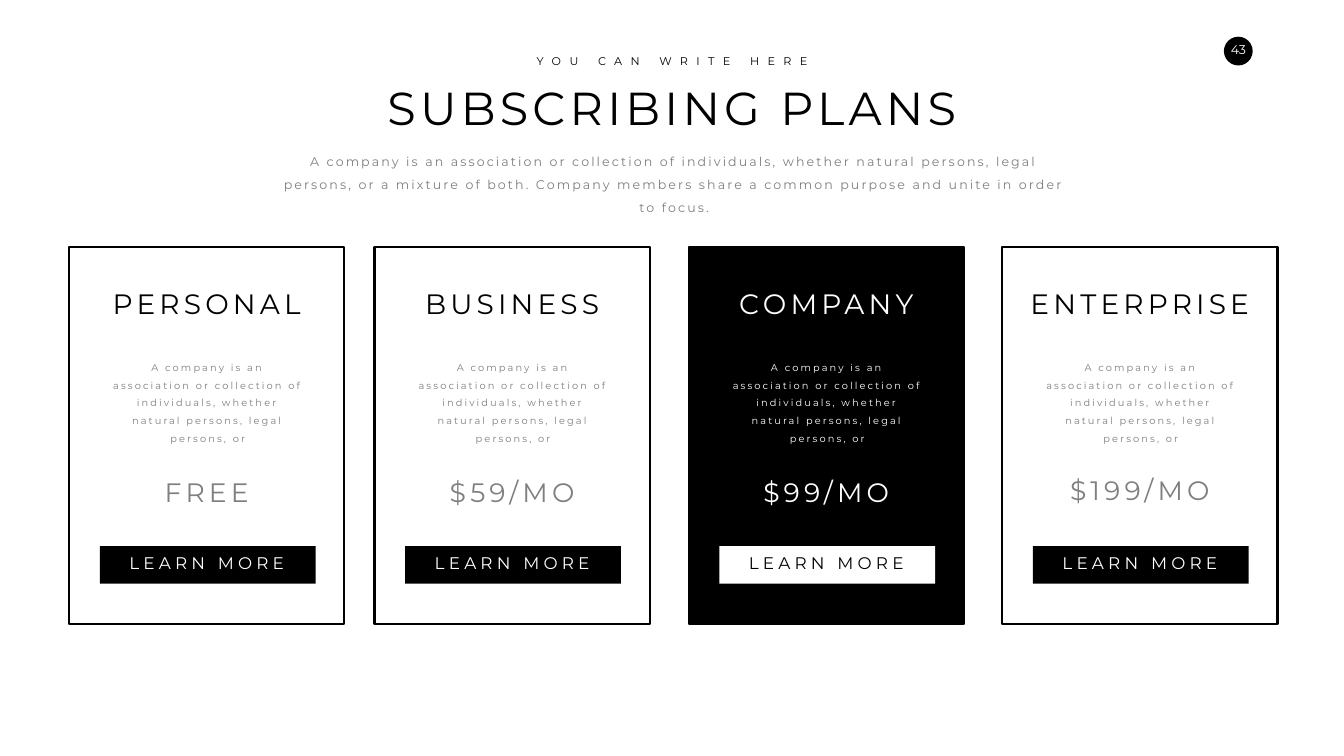
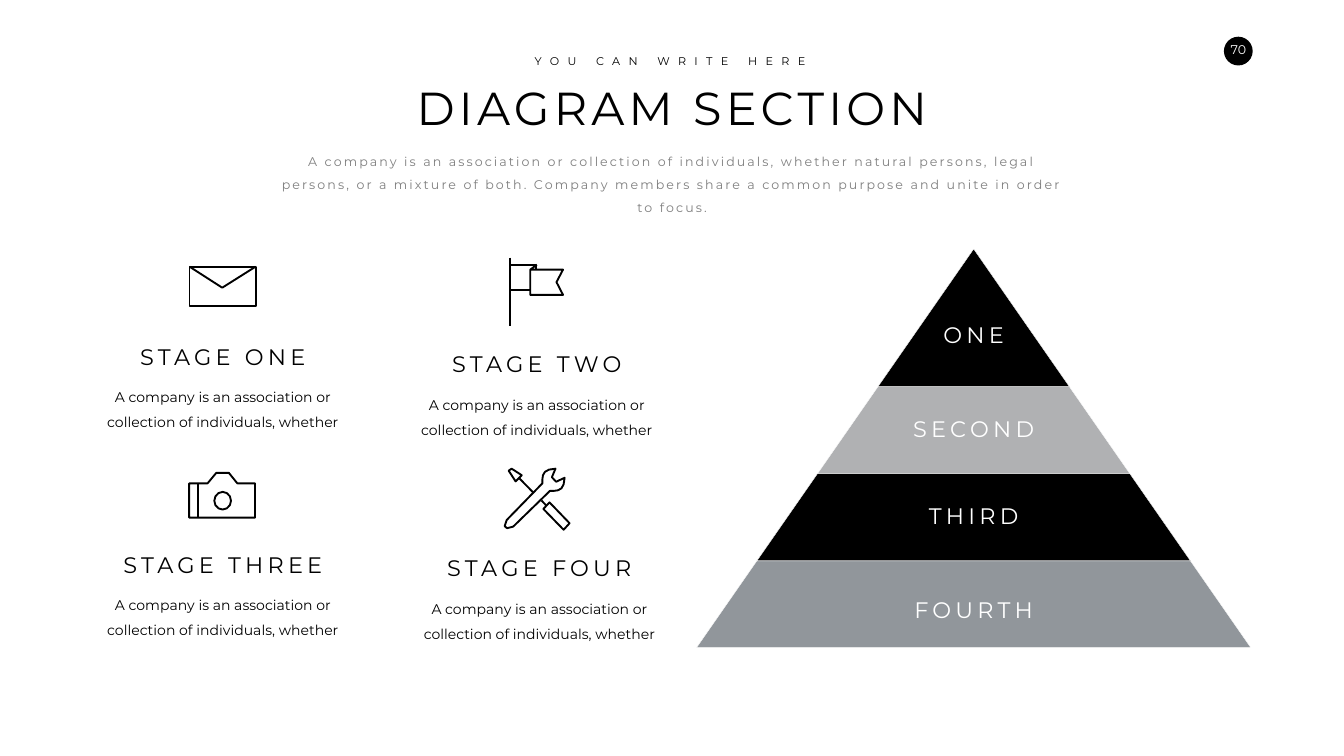
"""Build a subscription plans slide and a pyramid diagram slide."""
from lxml import etree
from pptx import Presentation
from pptx.dml.color import RGBColor
from pptx.enum.shapes import MSO_CONNECTOR, MSO_SHAPE
from pptx.enum.text import MSO_AUTO_SIZE, PP_ALIGN
from pptx.oxml.ns import qn
from pptx.util import Cm, Pt

RECTANGLE = MSO_SHAPE.RECTANGLE
OVAL = MSO_SHAPE.OVAL
STRAIGHT = MSO_CONNECTOR.STRAIGHT
CENTER = PP_ALIGN.CENTER
GROW = MSO_AUTO_SIZE.SHAPE_TO_FIT_TEXT

COLORS = {
    "black": "000000",
    "white": "FFFFFF",
    "text_gray": "7F7F7F",
    "light_gray": "B0B1B3",
    "slate": "91969B",
}
FONT = "Montserrat"
MIDDLE = 33.87
ICON_LINE = 2.7


def add_text(slide, text, center, top, width, height, size, color="black",
             tracking=0, line_spacing=None, wrap=False, insets=(0.25, 0.13)):
    """Add a text box centred on a given x position."""
    box = slide.shapes.add_textbox(Cm(center - width / 2), Cm(top), Cm(width), Cm(height))
    frame = box.text_frame
    frame.word_wrap = wrap
    frame.auto_size = GROW
    frame.margin_left = frame.margin_right = Cm(insets[0])
    frame.margin_top = frame.margin_bottom = Cm(insets[1])
    paragraph = frame.paragraphs[0]
    paragraph.alignment = CENTER
    if line_spacing:
        paragraph.line_spacing = line_spacing
    run = paragraph.add_run()
    run.text = text
    run.font.name = FONT
    run.font.size = Pt(size)
    run.font.color.rgb = RGBColor.from_string(COLORS[color])
    if tracking:
        run.font._element.set("spc", str(tracking * 100))


def style_shape(shape, fill=None, line=None, line_width=1):
    """Set the fill and outline of a shape, leaving either out when not given."""
    shape.shadow.inherit = False
    if fill:
        shape.fill.solid()
        shape.fill.fore_color.rgb = RGBColor.from_string(COLORS[fill])
    else:
        shape.fill.background()
    if line:
        shape.line.color.rgb = RGBColor.from_string(COLORS[line])
        shape.line.width = Pt(line_width)
    else:
        shape.line.fill.background()


presentation = Presentation()
presentation.slide_width = Cm(67.72)
presentation.slide_height = Cm(38.1)
blank_layout = presentation.slide_layouts[6]

INTRO = ("A company is an association or collection of individuals, whether natural "
         "persons, legal persons, or a mixture of both. Company members share a common "
         "purpose and unite in order to focus.")
headers = [
    ("43", "SUBSCRIBING PLANS", 29.8, 0),
    ("70", "DIAGRAM SECTION", 26.44, -0.1),
]
for number, title, title_width, shift in headers:
    slide = presentation.slides.add_slide(blank_layout)
    badge = slide.shapes.add_shape(OVAL, Cm(61.67), Cm(1.85), Cm(1.45), Cm(1.45))
    style_shape(badge, fill="black")
    add_text(slide, number, 62.4, 1.85, 2.18, 1.27, size=18, color="white",
             insets=(0.51, 0.25))
    add_text(slide, title, MIDDLE, 3.86, title_width, 3.07, size=66, tracking=6)
    add_text(slide, "YOU CAN WRITE HERE", MIDDLE + shift, 2.59, 14.68, 0.94,
             size=16, tracking=12)
    add_text(slide, INTRO, MIDDLE + 0.1 + shift, 7.26, 40.72, 2.57, size=18,
             color="text_gray", tracking=3, line_spacing=1.5, wrap=True)

plans_slide, diagram_slide = presentation.slides

PLAN_TEXT = ("A company is an association or collection of individuals, whether "
             "natural persons, legal persons, or")
CARD_WIDTH = 13.87
plans = [
    ("PERSONAL", 10.24, "FREE", 7.06, 23.85, 3.48, False),
    ("BUSINESS", 9.58, "$59/MO", 7.06, 23.85, 18.87, False),
    ("COMPANY", 9.58, "$99/MO", 7.06, 23.85, 34.7, True),
    ("ENTERPRISE", 11.86, "$199/MO", 8.56, 23.75, 50.5, False),
]
for name, name_width, price, price_width, price_top, left, featured in plans:
    center = left + CARD_WIDTH / 2
    name_color = "white" if featured else "black"
    detail_color = "white" if featured else "text_gray"
    button_color = "white" if featured else "black"
    label_color = "black" if featured else "white"

    card = plans_slide.shapes.add_shape(RECTANGLE, Cm(left), Cm(12.45),
                                        Cm(CARD_WIDTH), Cm(19.02))
    style_shape(card, fill="black" if featured else None, line="black", line_width=3)
    add_text(plans_slide, name, center, 14.33, name_width, 1.96, size=40,
             color=name_color, tracking=6)
    add_text(plans_slide, price, center, price_top, price_width, 1.88, size=38,
             color=detail_color, tracking=6, wrap=True)
    add_text(plans_slide, PLAN_TEXT, center + 0.05, 17.81, 10.06, 4.7, size=14,
             color=detail_color, tracking=3, line_spacing=1.5, wrap=True)
    button = plans_slide.shapes.add_shape(RECTANGLE, Cm(center + 0.05 - 10.87 / 2),
                                          Cm(27.53), Cm(10.87), Cm(1.88))
    style_shape(button, fill=button_color)
    add_text(plans_slide, "LEARN MORE", center, 27.74, 9.42, 1.27, size=24,
             color=label_color, tracking=6, wrap=True)

PYRAMID_CENTER = 49.06
PYRAMID_TOP = 12.55
HALF_WIDTH_PER_HEIGHT = 0.695
levels = [
    ("ONE", 3.73, 16.05, 12.55, 19.48, "black"),
    ("SECOND", 6.76, 20.8, 19.48, 23.88, "light_gray"),
    ("THIRD", 5.18, 25.15, 23.88, 28.27, "black"),
    ("FOURTH", 6.63, 29.9, 28.27, 32.64, "slate"),
]
for label, label_width, label_top, top, bottom, fill in levels:
    upper = HALF_WIDTH_PER_HEIGHT * (top - PYRAMID_TOP)
    lower = HALF_WIDTH_PER_HEIGHT * (bottom - PYRAMID_TOP)
    corners = [(-lower, bottom), (-upper, top), (upper, top), (lower, bottom)]
    points = [(Cm(PYRAMID_CENTER + x), Cm(y)) for x, y in corners]
    builder = diagram_slide.shapes.build_freeform(*points[0])
    builder.add_line_segments(points[1:], close=True)
    style_shape(builder.convert_to_shape(), fill=fill, line="white", line_width=0.5)
    add_text(diagram_slide, label, PYRAMID_CENTER, label_top, label_width, 1.63,
             size=32, color="white", tracking=6)

envelope = [
    [(12.88, 15.42), (9.55, 15.42), (9.55, 13.44), (12.88, 13.44), (12.88, 15.42)],
    [(9.55, 13.44), (11.2, 14.5), (12.88, 13.44)],
]
flag = [
    [(25.69, 12.98), (25.69, 16.43)],
    [(27.05, 13.34), (26.72, 13.59), (26.72, 14.86), (28.37, 14.86), (28.04, 14.22),
     (28.37, 13.59), (26.72, 13.59)],
    [(26.72, 14.61), (25.68, 14.61), (25.68, 13.34), (27.03, 13.34), (27.03, 13.59)],
]
camera = [
    [(11.96, 24.36), (11.53, 23.83), (10.9, 23.83), (10.46, 24.36), (9.53, 24.36),
     (9.53, 26.09), (12.85, 26.09), (12.85, 24.36), (11.96, 24.36)],
    [(9.96, 24.36), (9.96, 26.11)],
]
tools = [
    [(27.28, 25.22), (27.53, 25.48)],
    [(27.38, 25.65), (27.69, 25.32), (28.7, 26.37), (28.4, 26.7), (27.38, 25.65)],
    [(25.98, 24.26), (26.29, 23.95), (25.78, 23.62), (25.63, 23.72), (25.98, 24.26)],
    [(26.87, 24.82), (26.14, 24.08)],
    [(28.45, 24.08), (28.02, 24.28), (27.81, 24.05), (27.99, 23.62), (27.66, 23.67),
     (27.46, 23.78), (27.36, 23.95), (27.33, 24.16), (27.33, 24.36), (25.53, 26.21),
     (25.43, 26.52), (25.55, 26.62), (25.86, 26.54), (27.71, 24.74), (27.91, 24.74),
     (28.12, 24.71), (28.29, 24.61), (28.4, 24.41), (28.45, 24.08)],
]
STAGE_TEXT = "A company is an association or collection of individuals, whether"
stages = [
    ("STAGE ONE", 9.12, 11.23, 17.15, envelope, None),
    ("STAGE TWO", 9.3, 27.05, 17.53, flag, None),
    ("STAGE THREE", 10.85, 11.23, 27.64, camera, (10.8, 24.79, 0.84, 0.89)),
    ("STAGE FOUR", 10.03, 27.18, 27.81, tools, None),
]
for name, name_width, center, top, strokes, lens in stages:
    icon = diagram_slide.shapes.add_group_shape()
    for stroke in strokes:
        points = [(Cm(x), Cm(y)) for x, y in stroke]
        if len(points) == 2:
            connector = icon.shapes.add_connector(STRAIGHT, *points[0], *points[1])
            connector.line.color.rgb = RGBColor.from_string(COLORS["black"])
            connector.line.width = Pt(ICON_LINE)
            etree.SubElement(connector._element.spPr, qn("a:effectLst"))
        else:
            builder = icon.shapes.build_freeform(*points[0])
            builder.add_line_segments(points[1:], close=points[0] == points[-1])
            style_shape(builder.convert_to_shape(), line="black", line_width=ICON_LINE)
    if lens:
        lens_ring = icon.shapes.add_shape(OVAL, *[Cm(length) for length in lens])
        style_shape(lens_ring, line="black", line_width=ICON_LINE)
    add_text(diagram_slide, STAGE_TEXT, center, top + 1.88, 12.24, 2.41, size=20,
             line_spacing=1.5, wrap=True)
    add_text(diagram_slide, name, center, top, name_width, 1.63, size=32, tracking=6)

presentation.save("out.pptx")
